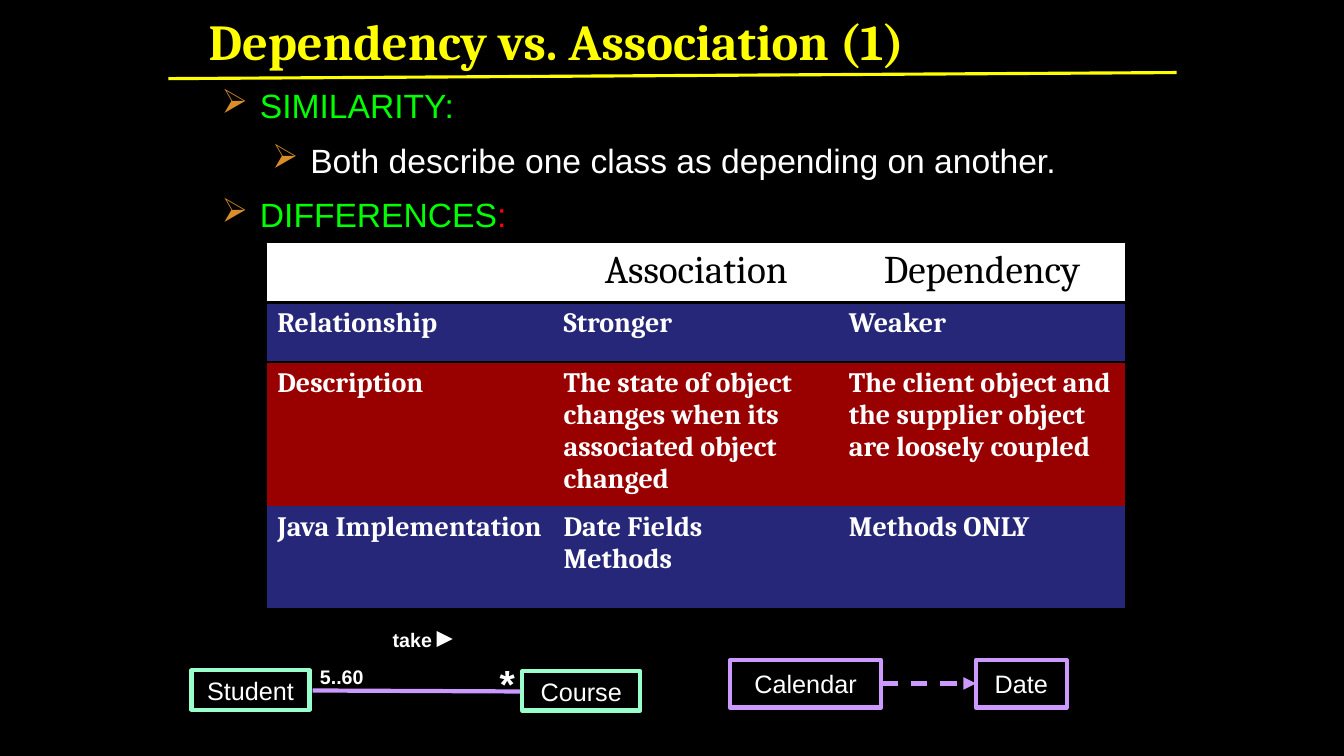
import pptx
import pptx.dml.color
import pptx.enum.dml
import pptx.enum.shapes
import pptx.enum.text
import pptx.oxml
import pptx.oxml.ns
import pptx.util
from pptx.util import Inches

BLACK, WHITE, YELLOW, GREEN, RED = "000000", "FFFFFF", "FFFF00", "00FF00", "FF0000"
BLUE, MAROON, PURPLE, MINT, ORANGE = "272779", "990000", "CC99FF", "99FFCC", "D98E29"
PLAIN_TABLE_STYLE = "{2D5ABB26-0587-4C30-8999-92F81FD0307C}"
ALIGN = pptx.enum.text.PP_ALIGN
ANCHOR = pptx.enum.text.MSO_ANCHOR
SHAPE = pptx.enum.shapes.MSO_SHAPE

TABLE_ROWS = [
    ("", "Association", "Dependency"),
    ("Relationship", "Stronger", "Weaker"),
    ("Description",
     "The state of object changes when its associated object changed",
     "The client object and the supplier object are loosely coupled"),
    ("Java Implementation", "Date Fields\nMethods", "Methods ONLY"),
]


def set_color(target, color):
    """Give a fill a solid colour from a hex string."""
    target.solid()
    target.fore_color.rgb = pptx.dml.color.RGBColor.from_string(color)


def add_xml(parent, markup):
    """Append a drawing element to a parent and return it."""
    tag, _, rest = markup.partition(" ")
    namespace = pptx.oxml.ns.nsdecls("a")
    element = pptx.oxml.parse_xml(f"<{tag} {namespace} {rest}")
    parent.append(element)
    return element


def write(paragraph, text, size=18, font="Arial", color=WHITE, bold=False, align=ALIGN.LEFT):
    """Add a formatted run to a paragraph."""
    paragraph.alignment = align
    run = paragraph.add_run()
    run.text = text
    run.font.size = pptx.util.Pt(size)
    run.font.name = font
    run.font.bold = bold
    set_color(run.font.fill, color)


def add_title(slide, text):
    """Place and format the slide title."""
    title = slide.shapes.title
    title.left, title.top = Inches(1.97), Inches(0)
    title.width, title.height = Inches(8.94), Inches(0.75)
    frame = title.text_frame
    frame.auto_size = pptx.enum.text.MSO_AUTO_SIZE.NONE
    frame.vertical_anchor = ANCHOR.BOTTOM
    frame.paragraphs[0].line_spacing = 0.8
    write(frame.paragraphs[0], text, size=36, font="Cambria", color=YELLOW, bold=True)


def add_bullets(slide, items):
    """Add the outline; each item is a level and its coloured runs."""
    box = slide.shapes.add_textbox(Inches(2.1), Inches(0.84), Inches(9.14), Inches(6.17))
    frame = box.text_frame
    frame.word_wrap = True
    for index, (level, runs) in enumerate(items):
        paragraph = frame.add_paragraph() if index else frame.paragraphs[0]
        paragraph.level = level
        paragraph.line_spacing = 0.9
        paragraph.space_before = pptx.util.Pt(13 if index else 0)
        properties = paragraph._p.get_or_add_pPr()
        properties.set("marL", str(Inches(0.38 + 0.5 * level)))
        properties.set("indent", str(Inches(-0.38)))
        add_xml(properties, f'a:buClr ><a:srgbClr val="{ORANGE}"/></a:buClr>')
        add_xml(properties, 'a:buChar char="➢"/>')
        for text, color in runs:
            write(paragraph, text, size=24, color=color)


def add_border(cell, side):
    """Draw a black border on one side of a cell."""
    border = (f'a:{side} w="25400"><a:solidFill><a:srgbClr val="{BLACK}"/>'
              f'</a:solidFill></a:{side}>')
    properties = cell._tc.get_or_add_tcPr()
    properties.insert(0, add_xml(properties, border))


def add_comparison_table(slide):
    """Add the table that compares association with dependency."""
    frame = slide.shapes.add_table(4, 3, Inches(2.65), Inches(2.41), Inches(8.5), Inches(3.54))
    table = frame.table
    table.first_row = table.horz_banding = False
    table._tbl.tblPr.find(pptx.oxml.ns.qn("a:tableStyleId")).text = PLAIN_TABLE_STYLE
    for column, width in zip(table.columns, (2.84, 2.83, 2.84)):
        column.width = Inches(width)
    for row, height in zip(table.rows, (0.59, 0.59, 1.35, 1.01)):
        row.height = Inches(height)
    header = {"size": 28, "color": BLACK, "align": ALIGN.CENTER}
    body = {"size": 20, "bold": True}
    for row_index, (texts, fill) in enumerate(zip(TABLE_ROWS, (WHITE, BLUE, MAROON, BLUE))):
        for column_index, text in enumerate(texts):
            cell = table.cell(row_index, column_index)
            set_color(cell.fill, fill)
            if row_index < 2:
                add_border(cell, "lnT" if row_index else "lnB")
            for line_index, line in enumerate(text.splitlines()):
                text_frame = cell.text_frame
                paragraph = text_frame.add_paragraph() if line_index else text_frame.paragraphs[0]
                write(paragraph, line, font="Cambria", **(body if row_index else header))


def add_class_box(slide, text, left, top, width, height, color):
    """Add an outlined class box with its centred name."""
    shape = slide.shapes.add_shape(
        SHAPE.RECTANGLE, Inches(left), Inches(top), Inches(width), Inches(height))
    shape.shadow.inherit = False
    set_color(shape.fill, BLACK)
    set_color(shape.line.fill, color)
    shape.line.width = pptx.util.Pt(3)
    shape.text_frame.vertical_anchor = ANCHOR.MIDDLE
    write(shape.text_frame.paragraphs[0], text, align=ALIGN.CENTER)


def add_label(slide, text, left, top, height, size=14):
    """Add a bold centred label of an association."""
    box = slide.shapes.add_textbox(Inches(left), Inches(top), Inches(0.78), Inches(height))
    box.text_frame.word_wrap = True
    write(box.text_frame.paragraphs[0], text, size=size, bold=True, align=ALIGN.CENTER)


def add_line(slide, start, end, color, width=3, dashed_arrow=False):
    """Add a straight line, or a dashed arrow, between two points."""
    connector = slide.shapes.add_connector(
        pptx.enum.shapes.MSO_CONNECTOR.STRAIGHT, *map(Inches, start + end))
    set_color(connector.line.fill, color)
    connector.line.width = pptx.util.Pt(width)
    if dashed_arrow:
        connector.line.dash_style = pptx.enum.dml.MSO_LINE.DASH
        add_xml(connector.line._get_or_add_ln(), 'a:tailEnd type="triangle"/>')
    add_xml(connector._element.spPr, "a:effectLst />")


def add_direction_marker(slide):
    """Add the triangle that shows the reading direction."""
    marker = slide.shapes.add_shape(
        SHAPE.ISOSCELES_TRIANGLE, Inches(4.33), Inches(6.26), Inches(0.16), Inches(0.16))
    marker.rotation = 90
    marker.shadow.inherit = False
    set_color(marker.fill, WHITE)
    marker.line.fill.background()


def main():
    """Build the slide and save it."""
    presentation = pptx.Presentation()
    presentation.slide_width, presentation.slide_height = Inches(13.33), Inches(7.5)
    slide = presentation.slides.add_slide(presentation.slide_layouts[5])
    set_color(slide.background.fill, BLACK)
    add_title(slide, "Dependency vs. Association (1)")
    add_line(slide, (1.67, 0.78), (11.67, 0.72), YELLOW, width=2.25)
    add_bullets(slide, [
        (0, [("SIMILARITY:", GREEN)]),
        (1, [("Both describe one class as depending on another.", WHITE)]),
        (0, [("DIFFERENCES", GREEN), (":", RED)]),
    ])
    add_comparison_table(slide)
    add_class_box(slide, "Calendar", 7.24, 6.55, 1.5, 0.47, PURPLE)
    add_class_box(slide, "Date", 9.68, 6.55, 0.9, 0.47, PURPLE)
    add_line(slide, (8.74, 6.78), (9.68, 6.78), PURPLE, dashed_arrow=True)
    add_class_box(slide, "Student", 1.9, 6.65, 1.17, 0.39, MINT)
    add_class_box(slide, "Course", 5.18, 6.66, 1.17, 0.39, MINT)
    add_line(slide, (3.1, 6.85), (5.16, 6.86), PURPLE)
    add_label(slide, "5..60", 3, 6.55, 0.33)
    add_label(slide, "*", 4.64, 6.49, 0.57, size=28)
    add_label(slide, "take", 3.7, 6.18, 0.33)
    add_direction_marker(slide)
    presentation.save("out.pptx")


if __name__ == "__main__":
    main()
